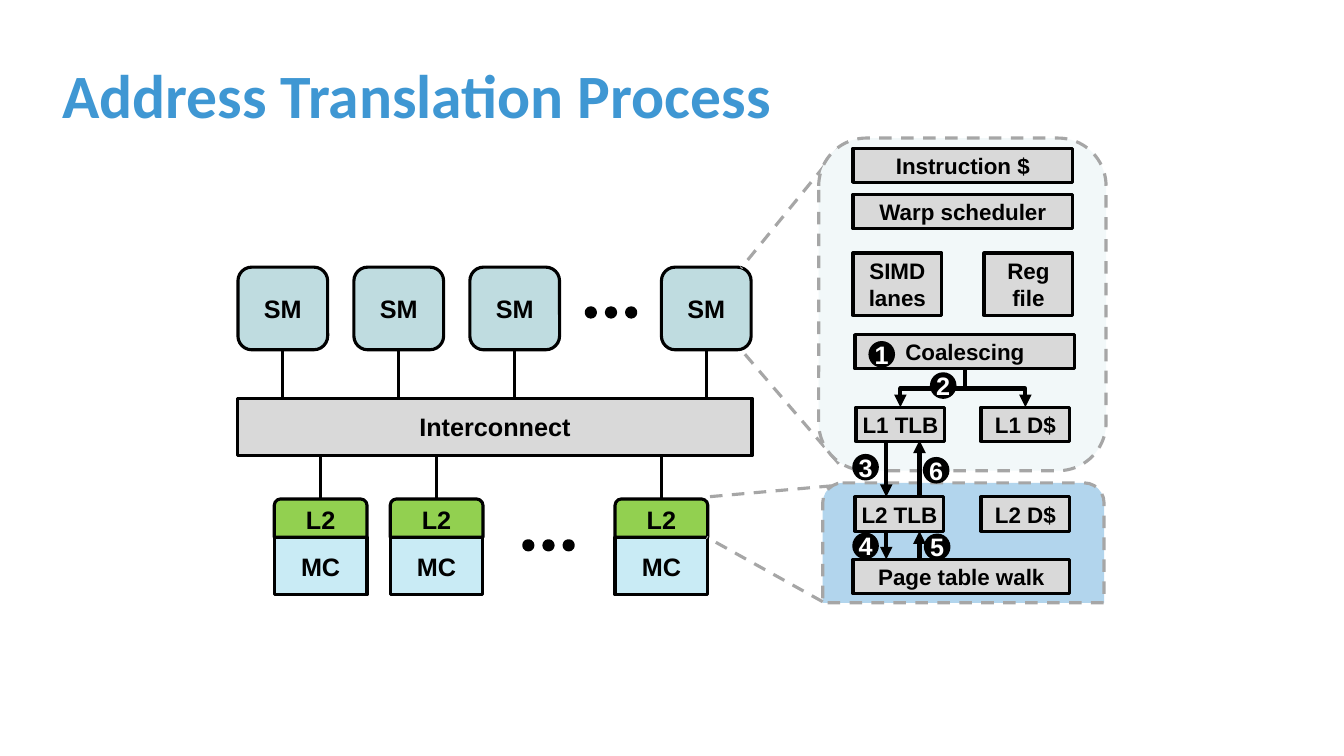
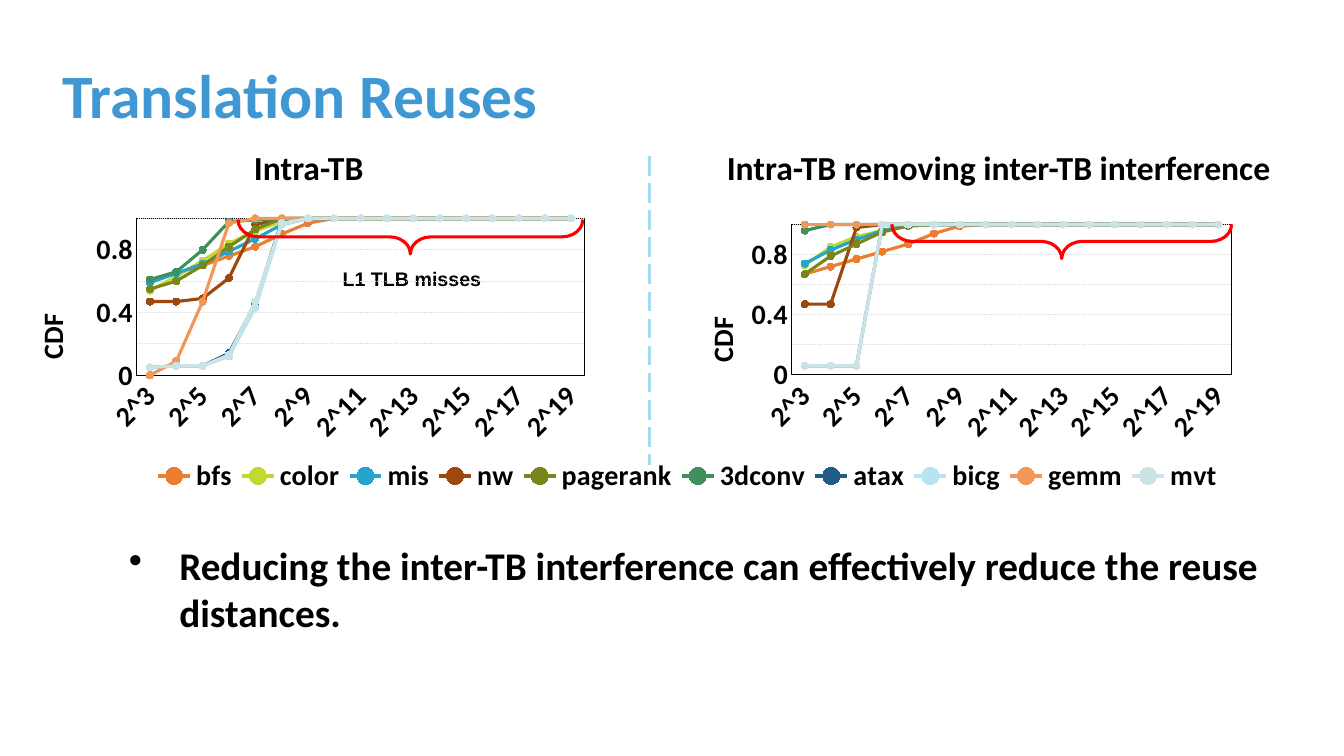
from typing import NamedTuple, Optional

from lxml import etree
from pptx import Presentation
from pptx.chart.data import CategoryChartData
from pptx.dml.color import RGBColor
from pptx.enum.chart import XL_CHART_TYPE, XL_LEGEND_POSITION, XL_MARKER_STYLE, XL_TICK_MARK
from pptx.enum.dml import MSO_LINE
from pptx.enum.shapes import MSO_CONNECTOR, MSO_SHAPE
from pptx.enum.text import MSO_ANCHOR, PP_ALIGN
from pptx.oxml.ns import qn
from pptx.util import Inches, Pt

RECTANGLE, ROUNDED = MSO_SHAPE.RECTANGLE, MSO_SHAPE.ROUNDED_RECTANGLE
TAB, OVAL, BRACE = MSO_SHAPE.ROUND_2_SAME_RECTANGLE, MSO_SHAPE.OVAL, MSO_SHAPE.RIGHT_BRACE
STRAIGHT, ELBOW = MSO_CONNECTOR.STRAIGHT, MSO_CONNECTOR.ELBOW
DASH, LONG_DASH, DOTS = MSO_LINE.DASH, MSO_LINE.LONG_DASH, MSO_LINE.ROUND_DOT
CENTER, MIDDLE, TOP = PP_ALIGN.CENTER, MSO_ANCHOR.MIDDLE, MSO_ANCHOR.TOP
TOP_SIDE, BOTTOM_SIDE = 0, 2

BLACK, WHITE, GREY, DASH_GREY = "000000", "FFFFFF", "D9D9D9", "A6A6A6"
TITLE_BLUE, SM_TEAL, L2_GREEN, MC_BLUE = "3F97D3", "BFDCE0", "92D050", "C9EBF5"
SM_PANEL, L2_PANEL, DIVIDER, RED = "F2F8F9", "B2D5ED", "A5DDEE", "FF0000"
HEADING_FONT, DIAGRAM_FONT = "Calibri", "Arial"
CELL = 0.1  # every place below counts grid cells of a tenth of an inch


class Place(NamedTuple):
    left: float
    top: float
    width: float
    height: float


class Part(NamedTuple):
    text: str
    place: Place


class Benchmark(NamedTuple):
    name: str
    color: str
    shared: tuple  # values up to the point where the curve stays at 1
    isolated: tuple


class CurvePlot(NamedTuple):
    place: Place
    plot: tuple  # shares of the chart's own size
    axis_title: tuple
    curves: str
    legend: Optional[tuple] = None


def cells(count: float):
    return Inches(count * CELL)


def rgb(color: str) -> RGBColor:
    return RGBColor.from_string(color)


def stroke(line, color: str, width: float = 2.25, dash=None) -> None:
    line.color.rgb = rgb(color)
    line.width = Pt(width)
    if dash is not None:
        line.dash_style = dash


def style_font(font, *, name: str, size: float, color: str = BLACK) -> None:
    font.name, font.size, font.bold = name, Pt(size), True
    font.color.rgb = rgb(color)


def write(frame, text: str, *, size: float, name: str = DIAGRAM_FONT, color: str = BLACK,
          align=None, anchor=TOP, spacing: Optional[float] = None, bullet: bool = False) -> None:
    frame.word_wrap = True
    frame.vertical_anchor = anchor
    for index, line in enumerate(text.split("\n")):
        para = frame.add_paragraph() if index else frame.paragraphs[0]
        para.alignment, para.line_spacing = align, spacing
        if bullet:
            properties = para._p.get_or_add_pPr()
            properties.set("marL", str(Inches(0.5)))
            properties.set("indent", str(-Inches(0.5)))
            etree.SubElement(properties, qn("a:buChar")).set("char", "•")
        span = para.add_run()
        span.text = line
        style_font(span.font, name=name, size=size, color=color)


def add_text(page, text: str, place: Place, **style) -> None:
    write(page.shapes.add_textbox(*map(cells, place)).text_frame, text, **style)


def add_box(page, kind, place: Place, fill: Optional[str], *, text: str = "", size: float = 18,
            color: str = BLACK, line: str = BLACK, width: float = 2.25, dash=None):
    box = page.shapes.add_shape(kind, *map(cells, place))
    box.shadow.inherit = False
    if fill:
        box.fill.solid()
        box.fill.fore_color.rgb = rgb(fill)
    else:
        box.fill.background()
    stroke(box.line, line, width, dash)
    if text:
        frame = box.text_frame
        frame.margin_left = frame.margin_right = frame.margin_top = frame.margin_bottom = 0
        write(frame, text, size=size, color=color, align=CENTER, anchor=MIDDLE)
    return box


def add_line(page, start: tuple, end: tuple, *, kind=STRAIGHT, color: str = BLACK,
             width: float = 2.25, dash=None, arrow: bool = False):
    line = page.shapes.add_connector(kind, *map(cells, start + end))
    stroke(line.line, color, width, dash)
    if arrow:
        etree.SubElement(line.line._get_or_add_ln(), qn("a:tailEnd")).set("type", "triangle")
    etree.SubElement(line._element.spPr, qn("a:effectLst"))
    return line


def add_branch(page, start: tuple, end: tuple) -> None:
    """Elbow arrow that leaves and arrives vertically: a turned horizontal elbow."""
    drop, run = end[1] - start[1], abs(end[0] - start[0])
    middle_x, middle_y = (start[0] + end[0]) / 2, (start[1] + end[1]) / 2
    goes_left = end[0] < start[0]
    half = drop / 2 if goes_left else -drop / 2
    line = add_line(page, (middle_x - half, middle_y - run / 2),
                    (middle_x + half, middle_y + run / 2), kind=ELBOW, width=3, arrow=True)
    degrees = 90 if goes_left else 270
    line._element.spPr.find(qn("a:xfrm")).set("rot", str(degrees * 60000))


def add_page(deck, title: str):
    page = deck.slides.add_slide(deck.slide_layouts[6])
    add_text(page, title, Place(5.2, 2.5, 128.1, 14.5), size=44, name=HEADING_FONT,
             color=TITLE_BLUE, anchor=MIDDLE, spacing=0.9)
    return page


# Address translation diagram
SM_LEFTS = (23.6, 35.1, 46.6, 65.6)
MC_LEFTS = (27.2, 38.7, 61)
DOT_ROWS = ((58.2, 30.6), (52, 53.7))
SM_UNITS = (
    Part("Instruction $", Place(84.6, 14.7, 21.8, 3.4)),
    Part("Warp scheduler", Place(84.6, 19.3, 21.8, 3.4)),
    Part("SIMD lanes", Place(84.6, 25.1, 8.8, 6.2)),
    Part("Reg\nfile", Place(97.6, 25.1, 8.8, 6.2)),
    Part("Coalescing", Place(84.8, 33.2, 21.8, 3.4)),
    Part("L1 TLB", Place(84.9, 40.4, 8.8, 3.4)),
    Part("L1 D$", Place(97.3, 40.4, 8.8, 3.4)),
)
L2_UNITS = (
    Part("L2 TLB", Place(84.8, 49.3, 8.8, 3.4)),
    Part("L2 D$", Place(97.3, 49.3, 8.8, 3.4)),
    Part("Page table walk", Place(84.6, 55.5, 21.5, 3.4)),
)
SM_ZOOM = (((83.2, 14.7), (73.5, 26.6)), ((83.2, 46), (73.5, 34.7)))
L2_ZOOM = (((82.5, 48.2), (70.1, 49.3)), ((81.6, 59.7), (70.1, 53.3)))
ARROWS = (((87.9, 43.7), (87.9, 49.3)), ((87.9, 52.7), (87.9, 55.5)),
          ((91.2, 55.5), (91.2, 52.7)), ((91.2, 49.1), (91.2, 43.7)))
STEPS = ((86.2, 33.9), (92.3, 37), (84.6, 45.1), (84.6, 52.9), (91.7, 53), (91.6, 45.4))


def draw_units(page, units: tuple) -> None:
    for unit in units:
        add_box(page, RECTANGLE, unit.place, GREY, text=unit.text, size=16)


def draw_zoom(page, lines: tuple) -> None:
    for start, end in lines:
        add_line(page, start, end, color=DASH_GREY, dash=DASH)


def build_translation(deck) -> None:
    page = add_page(deck, "Address Translation Process")

    # Processors, interconnect and memory
    bus = Place(23.6, 39.5, 51, 5.7)
    add_box(page, RECTANGLE, bus, GREY, text="Interconnect")
    for left in SM_LEFTS:
        box = add_box(page, ROUNDED, Place(left, 26.5, 8.9, 8.2), SM_TEAL, text="SM")
        middle = left + 4.45
        add_line(page, (middle, 34.7), (middle, bus.top)).begin_connect(box, BOTTOM_SIDE)
    for left in MC_LEFTS:
        add_box(page, RECTANGLE, Place(left, 53.3, 9.2, 5.7), MC_BLUE, text="MC")
        box = add_box(page, TAB, Place(left, 49.5, 9.2, 3.8), L2_GREEN, text="L2")
        middle = left + 4.6
        add_line(page, (middle, bus.top + bus.height), (middle, 49.5)).end_connect(box, TOP_SIDE)
    for left, top in DOT_ROWS:
        for step in range(3):
            add_box(page, OVAL, Place(left + 2 * step, top, 0.8, 0.8), BLACK, width=3)

    # Enlarged panels
    draw_zoom(page, SM_ZOOM)
    add_box(page, ROUNDED, Place(81.2, 13.7, 28.5, 33), SM_PANEL, line=DASH_GREY, dash=DASH)
    draw_units(page, SM_UNITS)
    add_box(page, TAB, Place(81.6, 47.9, 27.9, 11.9), L2_PANEL, line=DASH_GREY, dash=DASH)
    draw_units(page, L2_UNITS)
    draw_zoom(page, L2_ZOOM)

    # Translation steps
    for start, end in ARROWS:
        add_line(page, start, end, width=3, arrow=True)
    for end_x in (89.3, 101.7):
        add_branch(page, (95.7, 36.7), (end_x, 40.4))
    for number, (left, top) in enumerate(STEPS, 1):
        add_box(page, OVAL, Place(left, top, 2.5, 2.5), BLACK, text=str(number),
                color=WHITE, width=1)


# Reuse distance curves
EXPONENTS = range(3, 20)
BENCHMARKS = (
    Benchmark("bfs", "ED7D31", (0.61, 0.65, 0.7, 0.76, 0.82, 0.9, 0.97),
              (0.67, 0.72, 0.77, 0.82, 0.87, 0.94, 0.99)),
    Benchmark("color", "C2D833", (0.54, 0.63, 0.73, 0.84, 0.92, 0.98),
              (0.73, 0.85, 0.92, 0.96, 0.99)),
    Benchmark("mis", "26A5CB", (0.59, 0.65, 0.71, 0.79, 0.87, 0.96),
              (0.74, 0.83, 0.9, 0.96, 0.99)),
    Benchmark("nw", "9E480E", (0.47, 0.47, 0.49, 0.62, 0.96), (0.47, 0.47, 0.98)),
    Benchmark("pagerank", "78861A", (0.55, 0.6, 0.7, 0.82, 0.93),
              (0.67, 0.79, 0.87, 0.95, 0.99)),
    Benchmark("3dconv", "3F905C", (0.61, 0.66, 0.8, 0.98, 0.99), (0.96,)),
    Benchmark("atax", "1F5C86", (0.05, 0.06, 0.06, 0.14, 0.46, 0.98), (0.06, 0.06, 0.06)),
    Benchmark("bicg", "B7E4F1", (0.05, 0.06, 0.06, 0.12, 0.43, 0.96), (0.06, 0.06, 0.06)),
    Benchmark("gemm", "F1975A", (0, 0.09, 0.47, 0.97), ()),
    Benchmark("mvt", "CCE3E6", (0.05, 0.06, 0.06, 0.13, 0.47, 0.97), (0.06, 0.06, 0.06)),
)
PLOTS = (
    CurvePlot(Place(-2.4, 19.8, 159.7, 36.1), (0.1, 0.052, 0.278, 0.431), (0.032, 0.3),
              "shared", (0.107, 0.71, 0.67, 0.1)),
    CurvePlot(Place(66, 20.4, 92.9, 36.1), (0.135, 0.052, 0.469, 0.413), (0.034, 0.29),
              "isolated"),
)
BRACES = (Place(39, 6.4, 3.4, 34.2), Place(103.6, 7.1, 3.4, 33.7))


def set_layout(parent, index: int, shares: tuple, inner: bool = False) -> None:
    for old in parent.findall(qn("c:layout")):
        parent.remove(old)
    layout = etree.Element(qn("c:layout"))
    manual = etree.SubElement(layout, qn("c:manualLayout"))
    settings = [("layoutTarget", "inner")] if inner else []
    settings += [("xMode", "edge"), ("yMode", "edge"), *zip("xywh", shares)]
    for tag, value in settings:
        etree.SubElement(manual, qn(f"c:{tag}")).set("val", str(value))
    parent.insert(index, layout)


def add_curves(page, plot: CurvePlot) -> None:
    data = CategoryChartData()
    data.categories = [f"2^{exponent}" for exponent in EXPONENTS]
    for benchmark in BENCHMARKS:
        values = getattr(benchmark, plot.curves)
        data.add_series(benchmark.name, values + (1,) * (len(EXPONENTS) - len(values)))
    chart = page.shapes.add_chart(XL_CHART_TYPE.LINE_MARKERS, *map(cells, plot.place), data).chart
    style_font(chart.font, name=HEADING_FONT, size=20)
    chart.has_title = False
    chart.plots[0].vary_by_categories = False
    for series, benchmark in zip(chart.plots[0].series, BENCHMARKS):
        series.smooth = False
        stroke(series.format.line, benchmark.color)
        series.marker.style, series.marker.size = XL_MARKER_STYLE.CIRCLE, 5
        series.marker.format.fill.solid()
        series.marker.format.fill.fore_color.rgb = rgb(benchmark.color)
        stroke(series.marker.format.line, benchmark.color, 0.75)

    # Axes
    across, up = chart.category_axis, chart.value_axis
    for axis in (across, up):
        axis.major_tick_mark = axis.minor_tick_mark = XL_TICK_MARK.NONE
        style_font(axis.tick_labels.font, name=HEADING_FONT, size=20)
    stroke(across.format.line, BLACK, 0.75)
    across._element.find(qn("c:txPr")).find(qn("a:bodyPr")).set("rot", str(-45 * 60000))
    up.minimum_scale, up.maximum_scale, up.major_unit = 0, 1, 0.2
    up.tick_labels.number_format, up.tick_labels.number_format_is_linked = "General", False
    up.format.line.fill.background()
    stroke(up.major_gridlines.format.line, GREY, 0.75, DOTS)
    frame = up.axis_title.text_frame
    write(frame, "CDF", size=20, name=HEADING_FONT)
    frame._txBody.bodyPr.set("rot", str(-90 * 60000))
    set_layout(up.axis_title._element, 1, plot.axis_title)

    # Plot frame and legend
    area = chart._chartSpace.chart.plotArea
    set_layout(area, 0, plot.plot, inner=True)
    border = etree.SubElement(etree.SubElement(area, qn("c:spPr")), qn("a:ln"))
    border.set("w", str(Pt(0.75)))
    fill = etree.SubElement(border, qn("a:solidFill"))
    etree.SubElement(fill, qn("a:srgbClr")).set("val", BLACK)
    chart.has_legend = plot.legend is not None
    if plot.legend:
        chart.legend.position = XL_LEGEND_POSITION.BOTTOM
        chart.legend.include_in_layout = False
        style_font(chart.legend.font, name=HEADING_FONT, size=20)
        set_layout(chart.legend._element, 1, plot.legend)


def build_reuses(deck) -> None:
    page = add_page(deck, "Translation Reuses")
    add_text(page, "Intra-TB", Place(24.2, 14.1, 22.2, 5), size=24, name=HEADING_FONT)
    add_text(page, "Intra-TB removing inter-TB interference", Place(71.1, 14.1, 62.2, 5),
             size=24, name=HEADING_FONT)
    add_line(page, (64.4, 15.5), (64.4, 46.1), color=DIVIDER, width=1.75, dash=LONG_DASH)
    add_text(page, "Reducing the inter-TB interference can effectively reduce the reuse distances.",
             Place(11.8, 53.2, 114.9, 10.4), size=28, name=HEADING_FONT, bullet=True)
    add_text(page, "L1 TLB misses", Place(33, 26, 26.5, 3.4), size=14)
    for plot in PLOTS:
        add_curves(page, plot)
    for place in BRACES:
        brace = add_box(page, BRACE, place, None, line=RED)
        brace.rotation = 90
        brace.adjustments[0], brace.adjustments[1] = 0.6, 0.5


def main() -> None:
    deck = Presentation()
    deck.slide_width, deck.slide_height = Inches(13.33), Inches(7.5)
    build_translation(deck)
    build_reuses(deck)
    deck.save("out.pptx")


if __name__ == "__main__":
    main()
